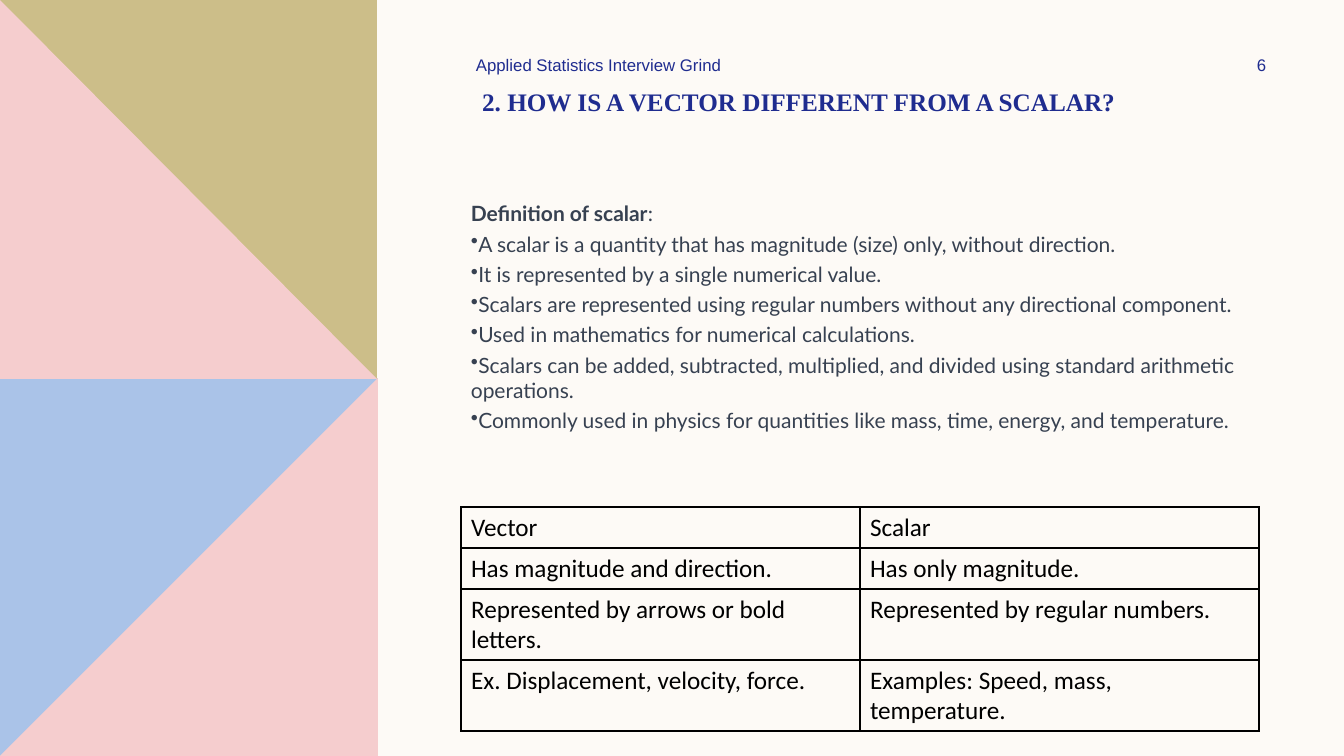
from dataclasses import dataclass

from lxml import etree
from pptx import Presentation
from pptx.dml.color import RGBColor
from pptx.enum.text import MSO_ANCHOR, MSO_AUTO_SIZE, PP_ALIGN
from pptx.oxml.ns import qn
from pptx.util import Emu, Pt

LEFT, CENTER = PP_ALIGN.LEFT, PP_ALIGN.CENTER
TOP, MIDDLE = MSO_ANCHOR.TOP, MSO_ANCHOR.MIDDLE
NO_AUTOFIT = MSO_AUTO_SIZE.NONE
PX = 914400 / 100.8


@dataclass(frozen=True)
class Theme:
    paper: str = "FDFAF6"
    blue: str = "AAC3E8"
    pink: str = "F5CDCE"
    olive: str = "CCBE89"
    navy: str = "1F2C8F"
    slate: str = "374151"
    black: str = "000000"
    title_size: int = 18
    body_size: int = 15
    header_size: int = 12
    table_size: int = 18


theme = Theme()


def px(n):
    return Emu(round(n * PX))


def write(tf, paragraphs, *, font, size, color, bold=False, align=LEFT,
          anchor=TOP, before=0, bullet=None):
    """Fill a text frame; each paragraph is a list of (text, bold) runs or a string."""
    tf.word_wrap = True
    tf.vertical_anchor = anchor
    for i, runs in enumerate(paragraphs):
        p = tf.paragraphs[0] if i == 0 else tf.add_paragraph()
        p.alignment, p.space_before, p.line_spacing = align, Pt(before), 1.0
        if isinstance(runs, str):
            runs = [(runs, bold)]
            if bullet:
                pPr = p._p.get_or_add_pPr()
                pPr.set("marL", "0")
                pPr.set("indent", "0")
                etree.SubElement(pPr, qn("a:buChar")).set("char", bullet)
        for text, is_bold in runs:
            r = p.add_run()
            r.text = text
            r.font.name, r.font.size, r.font.bold = font, Pt(size), is_bold
            r.font.color.rgb = RGBColor.from_string(color)


prs = Presentation()
prs.slide_width, prs.slide_height = px(1344), px(756)
s = prs.slides.add_slide(prs.slide_layouts[5])
s.background.fill.solid()
s.background.fill.fore_color.rgb = RGBColor.from_string(theme.paper)

# Left panel: two squares, each with a pink half
panel = [
    (theme.blue, [(0, 378), (378, 378), (378, 756), (0, 756)]),
    (theme.pink, [(378, 378), (378, 756), (0, 756)]),
    (theme.olive, [(0, 0), (377, 0), (377, 379), (0, 379)]),
    (theme.pink, [(0, 0), (377, 379), (0, 379)]),
]
for color, points in panel:
    builder = s.shapes.build_freeform(*points[0], scale=PX)
    builder.add_line_segments(points[1:], close=True)
    sp = builder.convert_to_shape()
    sp.shadow.inherit = False
    sp.fill.solid()
    sp.fill.fore_color.rgb = RGBColor.from_string(color)
    sp.line.fill.background()

# Title and header
title = s.shapes.title
title.left, title.top, title.width, title.height = px(472), px(81), px(746), px(85)
title.text_frame.auto_size = NO_AUTOFIT
write(title.text_frame, ["2. HOW IS A VECTOR DIFFERENT FROM A SCALAR?"],
      font="Times New Roman", size=theme.title_size, color=theme.navy, bold=True)

for text, left, width, align in [
    ("Applied Statistics Interview Grind", 466, 353, LEFT),
    ("6", 1207, 109, CENTER),
]:
    header = s.shapes.add_textbox(px(left), px(50), px(width), px(30))
    write(header.text_frame, [text], font="Arial", size=theme.header_size,
          color=theme.navy, align=align, anchor=MIDDLE)

# Definition
definition = [
    [("Definition of scalar", True), (":", False)],
    "A scalar is a quantity that has magnitude (size) only, without direction.",
    "It is represented by a single numerical value.",
    "Scalars are represented using regular numbers without any directional component.",
    "Used in mathematics for numerical calculations.",
    "Scalars can be added, subtracted, multiplied, and divided using standard "
    "arithmetic operations.",
    "Commonly used in physics for quantities like mass, time, energy, and temperature.",
]
body = s.shapes.add_textbox(px(461), px(196), px(798), px(560))
write(body.text_frame, definition, font="Lato", size=theme.body_size,
      color=theme.slate, before=3.6, bullet="•")

# Comparison table
comparison = [
    ("Vector", "Scalar"),
    ("Has magnitude and direction.", "Has only magnitude."),
    ("Represented by arrows or bold letters.", "Represented by regular numbers."),
    ("Ex. Displacement, velocity, force.", "Examples: Speed, mass, temperature."),
]
row_heights = [41, 41, 71, 71]
table = s.shapes.add_table(len(comparison), 2, px(461), px(507),
                           px(798), px(sum(row_heights))).table
table.first_row = table.horz_banding = False
for row, height, texts in zip(table.rows, row_heights, comparison):
    row.height = px(height)
    for cell, text in zip(row.cells, texts):
        write(cell.text_frame, [text], font="Calibri", size=theme.table_size,
              color=theme.black)
        tcPr = cell._tc.get_or_add_tcPr()
        for side in ("lnL", "lnR", "lnT", "lnB"):
            ln = etree.SubElement(tcPr, qn(f"a:{side}"), w=str(Pt(1)))
            fill = etree.SubElement(ln, qn("a:solidFill"))
            etree.SubElement(fill, qn("a:srgbClr"), val=theme.black)
        cell.fill.background()

prs.save("out.pptx")
